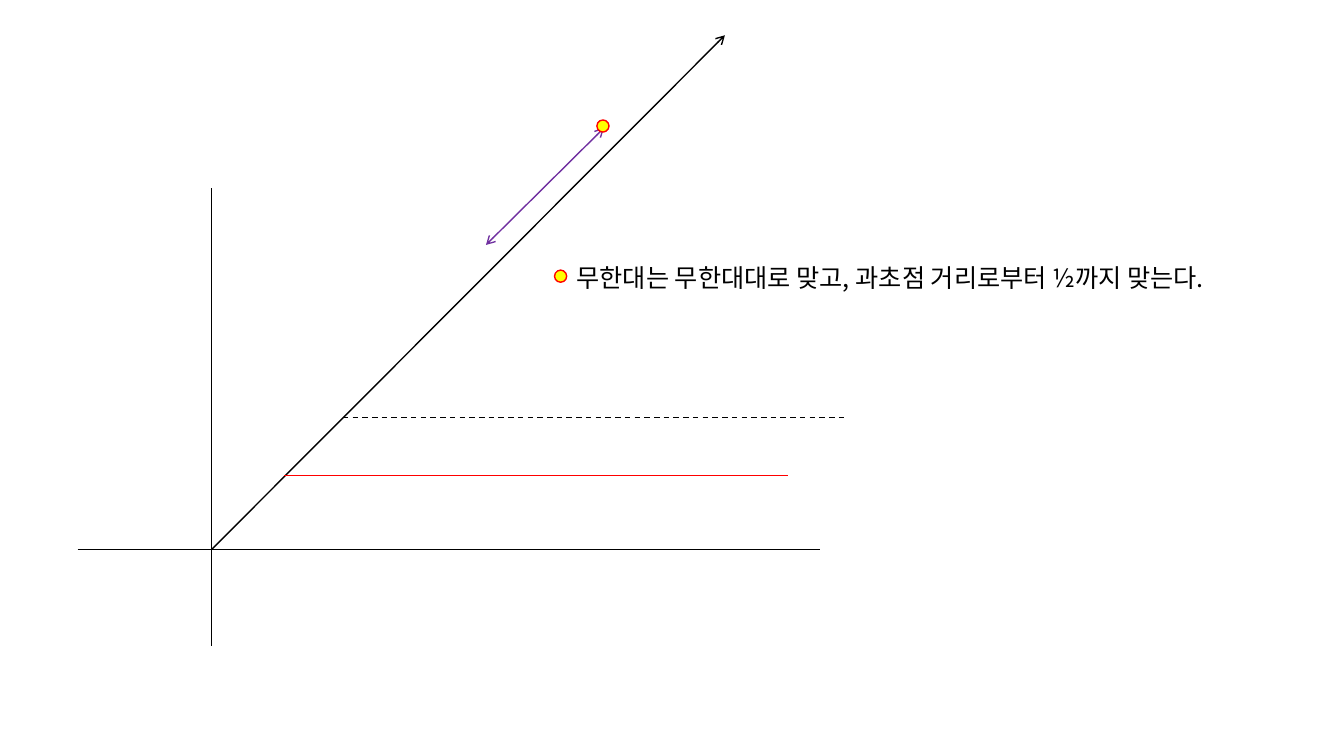
from dataclasses import dataclass

from pptx import Presentation
from pptx.dml.color import RGBColor
from pptx.enum.dml import MSO_LINE_DASH_STYLE as Dash
from pptx.enum.shapes import MSO_CONNECTOR as Connector, MSO_SHAPE as Shape
from pptx.enum.text import MSO_AUTO_SIZE as AutoSize
from pptx.oxml.ns import qn
from pptx.util import Pt
from lxml import etree

EMU_PER_PX = 9144  # 100 px to the inch


@dataclass(frozen=True)
class Theme:
    black: RGBColor = RGBColor(0x00, 0x00, 0x00)
    purple: RGBColor = RGBColor(0x70, 0x30, 0xA0)
    red: RGBColor = RGBColor(0xFF, 0x00, 0x00)
    yellow: RGBColor = RGBColor(0xFF, 0xFF, 0x00)
    font: str = "Noto Sans CJK KR"
    text_size: Pt = Pt(18)
    line_width: Pt = Pt(1)


THEME = Theme()


@dataclass(frozen=True)
class Line:
    start: tuple[int, int]
    end: tuple[int, int]
    color: RGBColor = THEME.black
    arrows: tuple[str, ...] = ()
    dashed: bool = False


@dataclass(frozen=True)
class Dot:
    left: int
    top: int
    size: int = 12


ORIGIN = (210, 545)
GUIDE_LENGTH = 500

LINES = (
    Line((ORIGIN[0], 187), (ORIGIN[0], 641)),
    Line((77, ORIGIN[1]), (813, ORIGIN[1])),
    Line(ORIGIN, (719, 35), arrows=("tailEnd",)),
    Line((340, 414), (340 + GUIDE_LENGTH, 414), dashed=True),
    Line((482, 243), (599, 127), THEME.purple, ("headEnd", "tailEnd")),
    Line((282, 472), (282 + GUIDE_LENGTH, 472), THEME.red),
)
DOTS = (Dot(592, 119), Dot(550, 268))
CAPTION = "무한대는 무한대대로 맞고, 과초점 거리로부터 ½까지 맞는다."


def px(*values: int) -> list[int]:
    return [value * EMU_PER_PX for value in values]


def apply(target, formats: dict) -> None:
    for name, value in formats.items():
        setattr(target, name, value)


def draw_line(s, line: Line) -> None:
    c = s.shapes.add_connector(Connector.STRAIGHT, *px(*line.start, *line.end))
    c.line.color.rgb = line.color
    c.line.width = THEME.line_width
    if line.dashed:
        c.line.dash_style = Dash.DASH
    ln = c.line._get_or_add_ln()
    for end in line.arrows:
        etree.SubElement(ln, qn(f"a:{end}"), type="arrow")
    etree.SubElement(c._element.spPr, qn("a:effectLst"))


def draw_dot(s, dot: Dot) -> None:
    sp = s.shapes.add_shape(Shape.OVAL, *px(dot.left, dot.top, dot.size, dot.size))
    sp.shadow.inherit = False
    sp.fill.solid()
    sp.fill.fore_color.rgb = THEME.yellow
    sp.line.color.rgb = THEME.red
    sp.line.width = THEME.line_width


def draw_caption(s, text: str) -> None:
    tf = s.shapes.add_textbox(*px(562, 255, 718, 40)).text_frame
    apply(tf, {"word_wrap": False, "auto_size": AutoSize.SHAPE_TO_FIT_TEXT})
    r = tf.paragraphs[0].add_run()
    r.text = text
    apply(r.font, {"name": THEME.font, "size": THEME.text_size})
    r.font.color.rgb = THEME.black
    etree.SubElement(r.font._element, qn("a:ea"), typeface=THEME.font)


def main() -> None:
    prs = Presentation()
    prs.slide_width, prs.slide_height = px(1333, 750)
    s = prs.slides.add_slide(prs.slide_layouts[6])
    for line in LINES:
        draw_line(s, line)
    draw_caption(s, CAPTION)
    for dot in DOTS:
        draw_dot(s, dot)
    prs.save("out.pptx")


if __name__ == "__main__":
    main()
